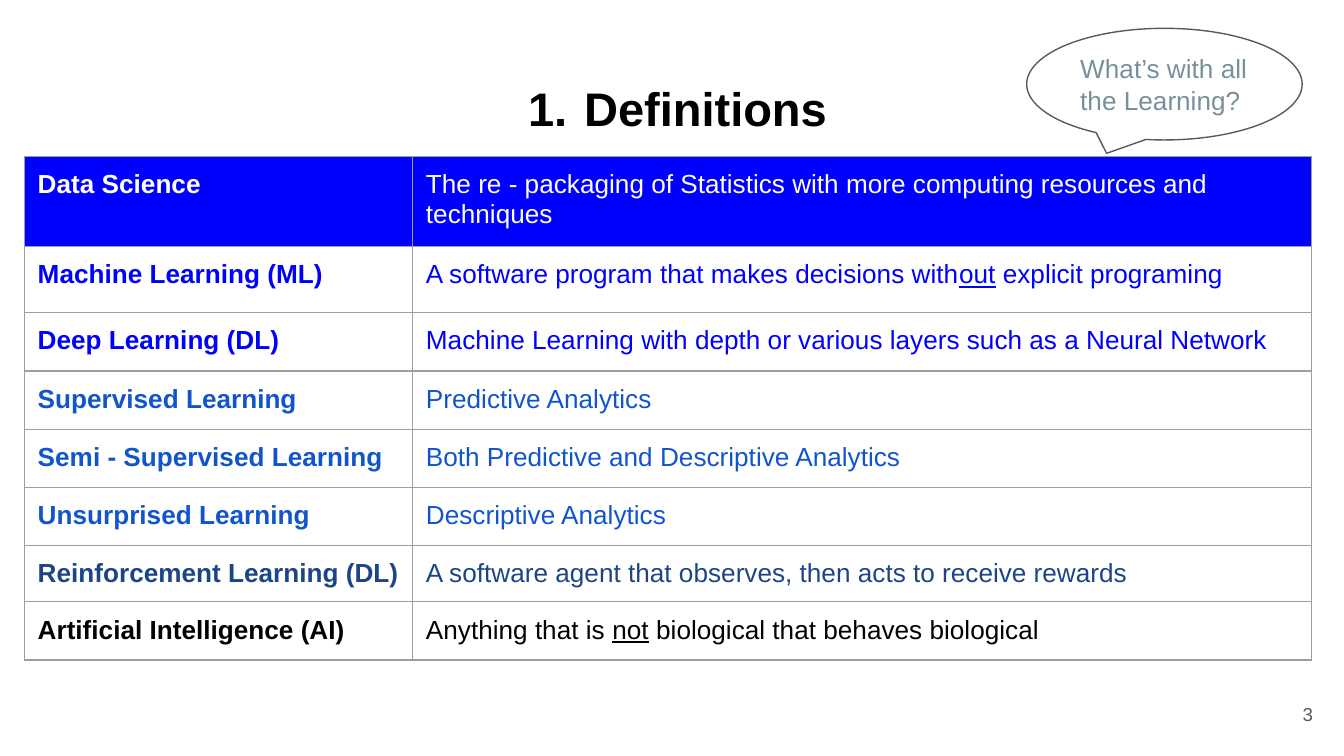
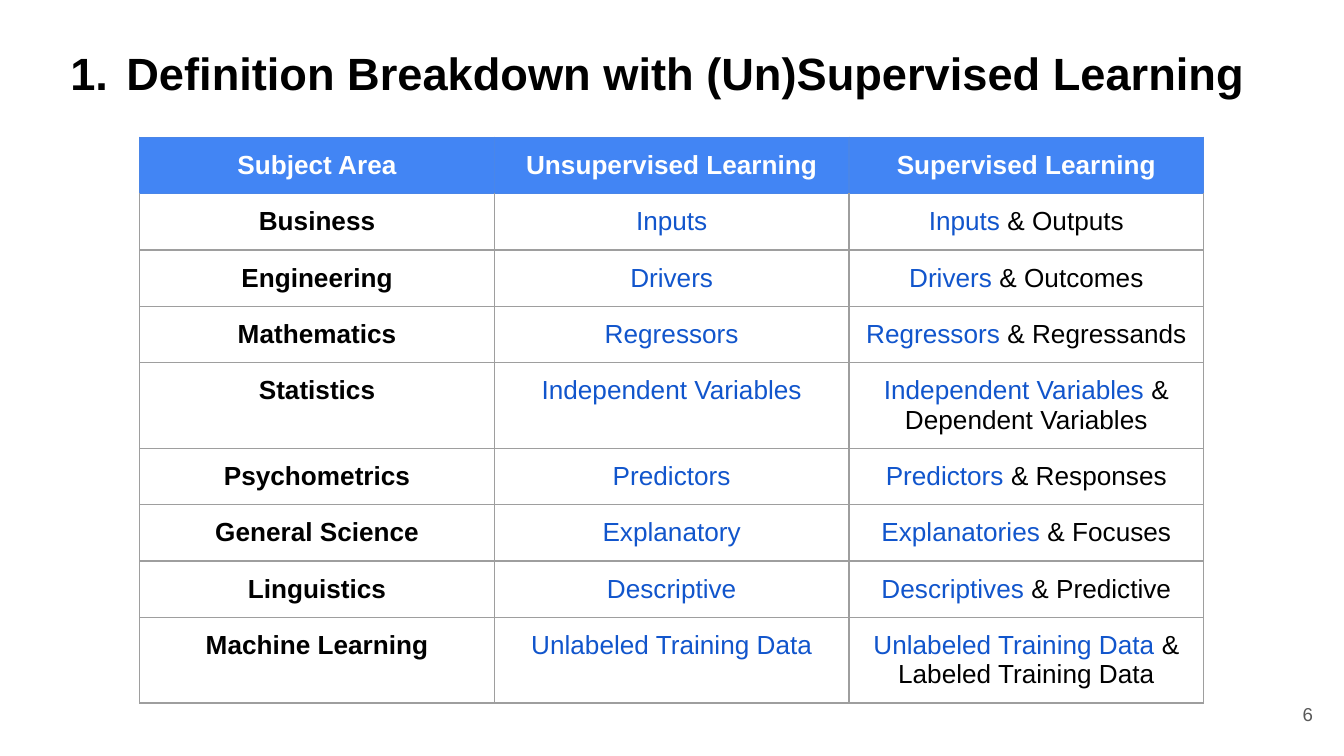
"""Build two slides of data science definitions, each with a numbered title and a table."""
from dataclasses import dataclass

from lxml.etree import SubElement
from pptx import Presentation
from pptx.dml.color import RGBColor
from pptx.enum.shapes import MSO_SHAPE
from pptx.enum.text import MSO_ANCHOR, MSO_AUTO_SIZE, PP_ALIGN
from pptx.oxml import parse_xml
from pptx.oxml.ns import nsdecls, qn
from pptx.util import Pt


@dataclass(frozen=True)
class Theme:
    font: str = "Arial"
    black: str = "000000"
    white: str = "FFFFFF"
    blue: str = "0000FF"
    link_blue: str = "1155CC"
    navy: str = "1C4587"
    header_fill: str = "4285F4"
    header_border: str = "4A86E8"
    border: str = "9E9E9E"
    gray: str = "595959"
    slate: str = "78909C"
    body_size: float = 14
    number_size: float = 10
    line_width: float = 0.75
    inset: float = 7.2


@dataclass(frozen=True)
class Span:
    text: str
    color: str
    bold: bool = False
    underline: bool = False


@dataclass(frozen=True)
class Cell:
    spans: list
    fill: str = ""
    border: str = Theme.border
    top_border: str = Theme.border


class SlideBuilder:
    def __init__(self, deck, theme):
        self.deck = deck
        self.theme = theme
        self.page = None

    def add_page(self):
        self.page = self.deck.slides.add_slide(self.deck.slide_layouts[5])

    def add_spans(self, para, spans, size, align=PP_ALIGN.LEFT):
        para.alignment = align
        for span in spans:
            run = para.add_run()
            run.text = span.text
            run.font.name = self.theme.font
            run.font.size = Pt(size)
            run.font.bold = span.bold
            run.font.underline = span.underline
            run.font.color.rgb = RGBColor.from_string(span.color)

    def frame_text(self, shape, anchor):
        frame = shape.text_frame
        frame.word_wrap = True
        frame.auto_size = MSO_AUTO_SIZE.NONE
        frame.vertical_anchor = anchor
        frame.margin_left = frame.margin_right = Pt(self.theme.inset)
        frame.margin_top = frame.margin_bottom = Pt(self.theme.inset)
        return frame.paragraphs[0]

    def title(self, text, top, size, align=PP_ALIGN.LEFT):
        box = self.page.shapes.title
        box.left, box.top, box.width, box.height = Pt(24.5), Pt(top), Pt(671), Pt(45)
        para = self.frame_text(box, MSO_ANCHOR.TOP)
        props = para._p.get_or_add_pPr()
        props.set("marL", str(Pt(36)))
        props.set("indent", str(-Pt(30)))
        color = SubElement(props, qn("a:buClr"))
        SubElement(color, qn("a:srgbClr"), val=self.theme.black)
        SubElement(props, qn("a:buFont"), typeface=self.theme.font)
        SubElement(props, qn("a:buAutoNum"), type="arabicPeriod")
        self.add_spans(para, [Span(text, self.theme.black, bold=True)], size, align)

    def page_number(self, number):
        box = self.page.shapes.add_textbox(Pt(667.5), Pt(367), Pt(43), Pt(31))
        para = self.frame_text(box, MSO_ANCHOR.MIDDLE)
        self.add_spans(para, [Span(number, self.theme.gray)],
                       self.theme.number_size, PP_ALIGN.RIGHT)

    def callout(self, text, left, top, width, height):
        bubble = self.page.shapes.add_shape(
            MSO_SHAPE.OVAL_CALLOUT, Pt(left), Pt(top), Pt(width), Pt(height))
        bubble.adjustments[0], bubble.adjustments[1] = -0.21, 0.62
        bubble.shadow.inherit = False
        bubble.fill.background()
        bubble.line.color.rgb = RGBColor.from_string(self.theme.gray)
        bubble.line.width = Pt(self.theme.line_width)
        para = self.frame_text(bubble, MSO_ANCHOR.MIDDLE)
        self.add_spans(para, [Span(text, self.theme.slate)], self.theme.body_size)

    def format_cell(self, target, cell, align):
        target.margin_left = target.margin_right = Pt(self.theme.inset)
        target.margin_top = target.margin_bottom = Pt(self.theme.inset)
        if cell.fill:
            target.fill.solid()
            target.fill.fore_color.rgb = RGBColor.from_string(cell.fill)
        else:
            target.fill.background()
        props = target._tc.get_or_add_tcPr()
        for index, side in enumerate("LRTB"):
            color = cell.top_border if side == "T" else cell.border
            props.insert(index, parse_xml(
                f'<a:ln{side} {nsdecls("a")} w="{Pt(self.theme.line_width)}">'
                f'<a:solidFill><a:srgbClr val="{color}"/></a:solidFill></a:ln{side}>'))
        para = target.text_frame.paragraphs[0]
        self.add_spans(para, cell.spans, self.theme.body_size, align)

    def table(self, left, top, widths, heights, rows, align=PP_ALIGN.LEFT):
        table = self.page.shapes.add_table(
            len(rows), len(widths), Pt(left), Pt(top), Pt(sum(widths)), Pt(sum(heights))).table
        table.first_row = table.horz_banding = False
        for column, width in zip(table.columns, widths):
            column.width = Pt(width)
        for line, height, cells in zip(table.rows, heights, rows):
            line.height = Pt(height)
            for target, cell in zip(line.cells, cells):
                self.format_cell(target, cell, align)


def add_definitions(builder):
    theme = builder.theme
    definitions = [
        ("Data Science", theme.white,
         ["The re - packaging of Statistics with more computing resources and techniques"]),
        ("Machine Learning (ML)", theme.blue,
         ["A software program that makes decisions with", "out", " explicit programing"]),
        ("Deep Learning (DL)", theme.blue,
         ["Machine Learning with depth or various layers such as a Neural Network"]),
        ("Supervised Learning", theme.link_blue, ["Predictive Analytics"]),
        ("Semi - Supervised Learning", theme.link_blue,
         ["Both Predictive and Descriptive Analytics"]),
        ("Unsurprised Learning", theme.link_blue, ["Descriptive Analytics"]),
        ("Reinforcement Learning (DL)", theme.navy,
         ["A software agent that observes, then acts to receive rewards"]),
        ("Artificial Intelligence (AI)", theme.black,
         ["Anything that is ", "not", " biological that behaves biological"]),
    ]
    rows = []
    for term, color, parts in definitions:
        fill = theme.blue if color == theme.white else theme.white
        meaning = [Span(part, color, underline=index == 1) for index, part in enumerate(parts)]
        rows.append([Cell([Span(term, color, bold=True)], fill), Cell(meaning, fill)])

    builder.add_page()
    builder.title("Definitions", 35.3, 25.2, PP_ALIGN.CENTER)
    builder.page_number("3")
    builder.table(13, 84, [208, 481.7], [48.2, 35.4, 31.2, 31.2, 31.2, 31.2, 29.8, 31.2], rows)
    builder.callout("What’s with all the Learning?", 550, 15.2, 147.6, 59.8)


def add_breakdown(builder):
    theme = builder.theme
    headings = ["Subject Area", "Unsupervised Learning", "Supervised Learning"]
    subjects = [
        ("Business", "Inputs", "Inputs", " & Outputs"),
        ("Engineering", "Drivers", "Drivers", " & Outcomes"),
        ("Mathematics", "Regressors", "Regressors", " & Regressands"),
        ("Statistics", "Independent Variables", "Independent Variables", " & Dependent Variables"),
        ("Psychometrics", "Predictors", "Predictors", " & Responses"),
        ("General Science", "Explanatory", "Explanatories", " & Focuses"),
        ("Linguistics", "Descriptive", "Descriptives", " & Predictive"),
        ("Machine Learning", "Unlabeled Training Data", "Unlabeled Training Data",
         " & Labeled Training Data"),
    ]
    rows = [[Cell([Span(heading, theme.white, bold=True)], theme.header_fill,
                  theme.header_border, theme.header_border) for heading in headings]]
    for index, (subject, unsupervised, known, outcome) in enumerate(subjects):
        top_border = theme.border if index else theme.header_border
        contents = [
            [Span(subject, theme.black, bold=True)],
            [Span(unsupervised, theme.link_blue)],
            [Span(known, theme.link_blue), Span(outcome, theme.black)],
        ]
        rows.append([Cell(spans, top_border=top_border) for spans in contents])

    builder.add_page()
    builder.title("Definition Breakdown with (Un)Supervised Learning", 17.3, 24.2)
    builder.page_number("6")
    builder.table(74.9, 73.5, [190] * 3, [30.2] * len(rows), rows, PP_ALIGN.CENTER)


def main():
    deck = Presentation()
    deck.slide_width, deck.slide_height = Pt(720), Pt(405)
    builder = SlideBuilder(deck, Theme())
    add_definitions(builder)
    add_breakdown(builder)
    deck.save("out.pptx")


if __name__ == "__main__":
    main()
